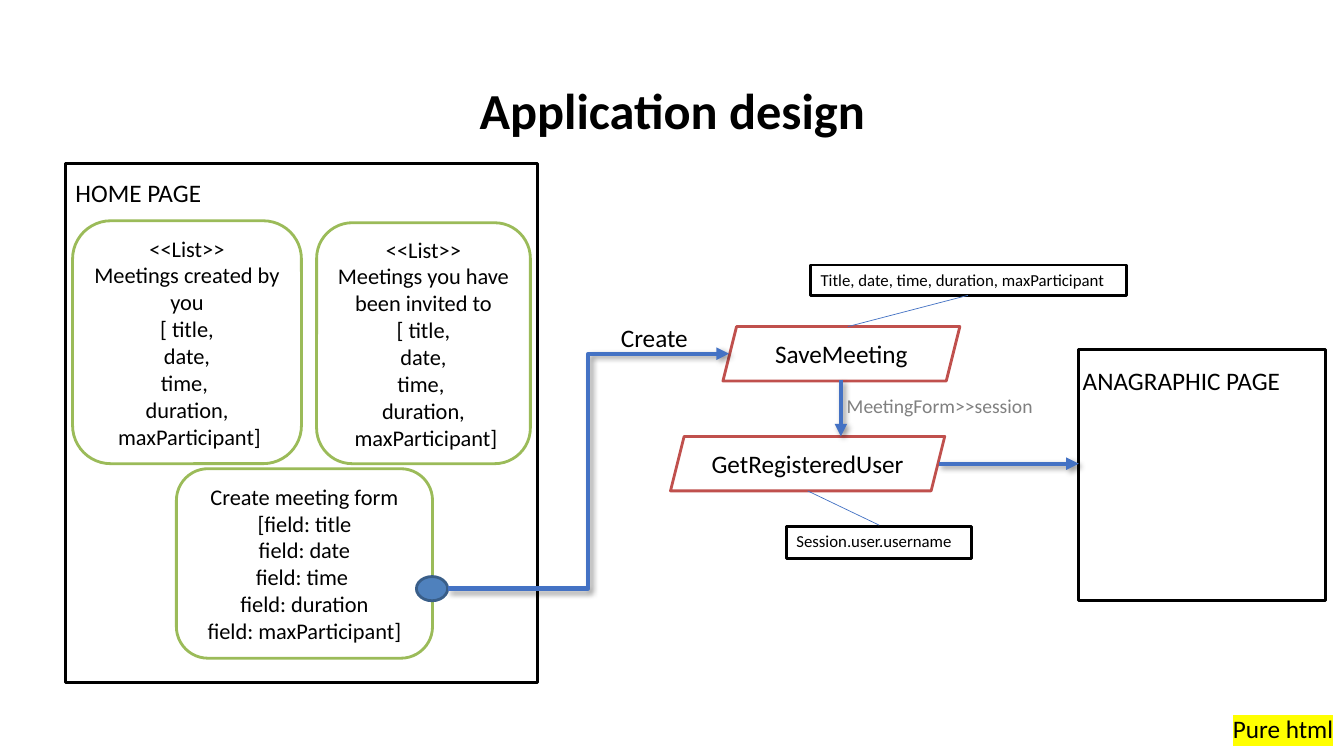
from dataclasses import dataclass
from typing import Any, Optional

import lxml.etree
import pptx
import pptx.dml.color
import pptx.enum.shapes
import pptx.enum.text
import pptx.oxml.ns
import pptx.util

Inches = pptx.util.Inches
Pt = pptx.util.Pt
RGBColor = pptx.dml.color.RGBColor
Shape = pptx.enum.shapes.MSO_SHAPE
Connector = pptx.enum.shapes.MSO_CONNECTOR
Align = pptx.enum.text.PP_ALIGN
Anchor = pptx.enum.text.MSO_ANCHOR
qn = pptx.oxml.ns.qn

FONT = "Calibri"
BLACK = RGBColor(0x00, 0x00, 0x00)
WHITE = RGBColor(0xFF, 0xFF, 0xFF)
GRAY = RGBColor(0x80, 0x80, 0x80)
YELLOW = RGBColor(0xFF, 0xFF, 0x00)
GREEN = RGBColor(0x9B, 0xBB, 0x59)
RED = RGBColor(0xC0, 0x50, 0x4D)
BLUE = RGBColor(0x4F, 0x81, 0xBD)
DARK_BLUE = RGBColor(0x39, 0x5E, 0x89)
ARROW_BLUE = RGBColor(0x44, 0x72, 0xC4)

MEETING_FIELDS = ("date,", "time, ", "duration,", " maxParticipant]")
FORM_FIELDS = ("field: date", "field: time ", "field: duration", "field: maxParticipant]")


@dataclass
class Box:
    left: float
    top: float
    width: float
    height: float
    kind: Any
    line: RGBColor
    fill: Optional[RGBColor] = WHITE
    weight: float = 2
    lines: tuple[str, ...] = ()
    size: float = 16
    align: Any = Align.CENTER
    anchor: Any = Anchor.MIDDLE


@dataclass
class Label:
    left: float
    top: float
    width: float
    height: float
    text: str
    size: float = 18
    color: RGBColor = BLACK
    highlight: Optional[RGBColor] = None


@dataclass
class Link:
    start: tuple[float, float]
    end: tuple[float, float]
    kind: Any = Connector.STRAIGHT
    arrow: bool = False


def page_frame(left: float, top: float, width: float, height: float) -> Box:
    return Box(left, top, width, height, Shape.RECTANGLE, BLACK, None, 2.25)


def panel(left: float, top: float, width: float, height: float, lines: tuple[str, ...]) -> Box:
    return Box(left, top, width, height, Shape.ROUNDED_RECTANGLE, GREEN, lines=lines)


def action(left: float, top: float, width: float, name: str) -> Box:
    return Box(left, top, width, 0.54, Shape.PARALLELOGRAM, RED, lines=(name,), size=18)


def note(left: float, top: float, width: float, height: float, text: str) -> Box:
    return Box(left, top, width, height, Shape.RECTANGLE, BLACK, lines=(text,),
               size=12, align=Align.LEFT, anchor=Anchor.TOP)


BOXES = [
    page_frame(0.65, 1.62, 4.68, 5.15),
    page_frame(10.7, 3.47, 2.45, 2.49),
    panel(0.72, 2.19, 2.27, 2.41,
          ("<<List>>", "Meetings created by you\n[ title,") + MEETING_FIELDS),
    panel(3.14, 2.21, 2.12, 2.39,
          ("<<List>>", "Meetings you have been invited to\n[ title,") + MEETING_FIELDS),
    panel(1.75, 4.65, 2.54, 1.88, ("Create meeting form\n[field: title",) + FORM_FIELDS),
    action(7.17, 3.24, 2.35, "SaveMeeting"),
    action(6.65, 4.33, 2.72, "GetRegisteredUser"),
    Box(4.13, 5.72, 0.31, 0.24, Shape.OVAL, DARK_BLUE, BLUE),
    note(8.04, 2.63, 3.13, 0.3, "Title, date, time, duration, maxParticipant"),
    note(7.8, 5.22, 1.84, 0.32, "Session.user.username"),
]

LINKS = [
    Link((4.44, 5.84), (7.23, 3.51), Connector.ELBOW, True),
    Link((8.34, 3.77), (8.34, 4.33), arrow=True),
    Link((9.31, 4.6), (10.7, 4.6), arrow=True),
    Link((9.6, 2.93), (8.41, 3.24)),
    Link((8.01, 4.87), (8.72, 5.21)),
]

LABELS = [
    Label(12.13, 7.03, 1.21, 0.4, "Pure html", highlight=YELLOW),
    Label(0.65, 1.71, 1.46, 0.4, "HOME PAGE"),
    Label(10.64, 3.58, 2.18, 0.4, "ANAGRAPHIC PAGE"),
    Label(6.06, 3.15, 0.87, 0.4, "Create"),
    Label(8.3, 3.86, 2.07, 0.34, "MeetingForm>>session", 14, GRAY),
]


def add_span(para: Any, text: str, size: float, color: RGBColor = BLACK,
             bold: bool = False, highlight: Optional[RGBColor] = None) -> None:
    span = para.add_run()
    span.text = text
    span.font.size = Pt(size)
    span.font.bold = bold
    span.font.color.rgb = color
    if highlight is not None:
        mark = lxml.etree.SubElement(span._r.get_or_add_rPr(), qn("a:highlight"))
        lxml.etree.SubElement(mark, qn("a:srgbClr"), val=str(highlight))
    span.font.name = FONT


def draw_title(page: Any) -> None:
    frame = page.shapes.add_textbox(Inches(0.92), Inches(0.4), Inches(11.5), Inches(1.45)).text_frame
    frame.word_wrap = True
    frame.vertical_anchor = Anchor.MIDDLE
    para = frame.paragraphs[0]
    para.alignment = Align.CENTER
    para.line_spacing = 0.9
    add_span(para, "Application design", 36, bold=True)


def draw_box(page: Any, box: Box) -> None:
    shape = page.shapes.add_shape(box.kind, Inches(box.left), Inches(box.top),
                                  Inches(box.width), Inches(box.height))
    shape.shadow.inherit = False
    if box.fill is None:
        shape.fill.background()
    else:
        shape.fill.solid()
        shape.fill.fore_color.rgb = box.fill
    shape.line.color.rgb = box.line
    shape.line.width = Pt(box.weight)
    frame = shape.text_frame
    frame.word_wrap = True
    frame.vertical_anchor = box.anchor
    for index, line in enumerate(box.lines):
        para = frame.add_paragraph() if index else frame.paragraphs[0]
        para.alignment = box.align
        for part_index, part in enumerate(line.split("\n")):
            if part_index:
                para.add_line_break()
            add_span(para, part, box.size)


def draw_label(page: Any, label: Label) -> None:
    frame = page.shapes.add_textbox(Inches(label.left), Inches(label.top),
                                    Inches(label.width), Inches(label.height)).text_frame
    frame.word_wrap = False
    add_span(frame.paragraphs[0], label.text, label.size, label.color, highlight=label.highlight)


def draw_link(page: Any, link: Link) -> None:
    connector = page.shapes.add_connector(link.kind, *map(Inches, link.start + link.end))
    connector.line.color.rgb = ARROW_BLUE
    connector.line.width = Pt(3 if link.arrow else 0.5)
    effects = lxml.etree.SubElement(connector._element.spPr, qn("a:effectLst"))
    if link.arrow:
        lxml.etree.SubElement(connector.line._get_or_add_ln(), qn("a:tailEnd"), type="triangle")
        shadow = lxml.etree.SubElement(effects, qn("a:outerShdw"), blurRad=str(Pt(4)),
                                       dist=str(Pt(3)), dir="2700000", algn="tl", rotWithShape="0")
        tint = lxml.etree.SubElement(shadow, qn("a:srgbClr"), val=str(BLACK))
        lxml.etree.SubElement(tint, qn("a:alpha"), val="40000")


def main() -> None:
    deck = pptx.Presentation()
    deck.slide_width = Inches(13.33)
    deck.slide_height = Inches(7.5)
    page = deck.slides.add_slide(deck.slide_layouts[6])
    draw_title(page)
    for box in BOXES:
        draw_box(page, box)
    for link in LINKS:
        draw_link(page, link)
    for label in LABELS:
        draw_label(page, label)
    deck.save("out.pptx")


if __name__ == "__main__":
    main()
